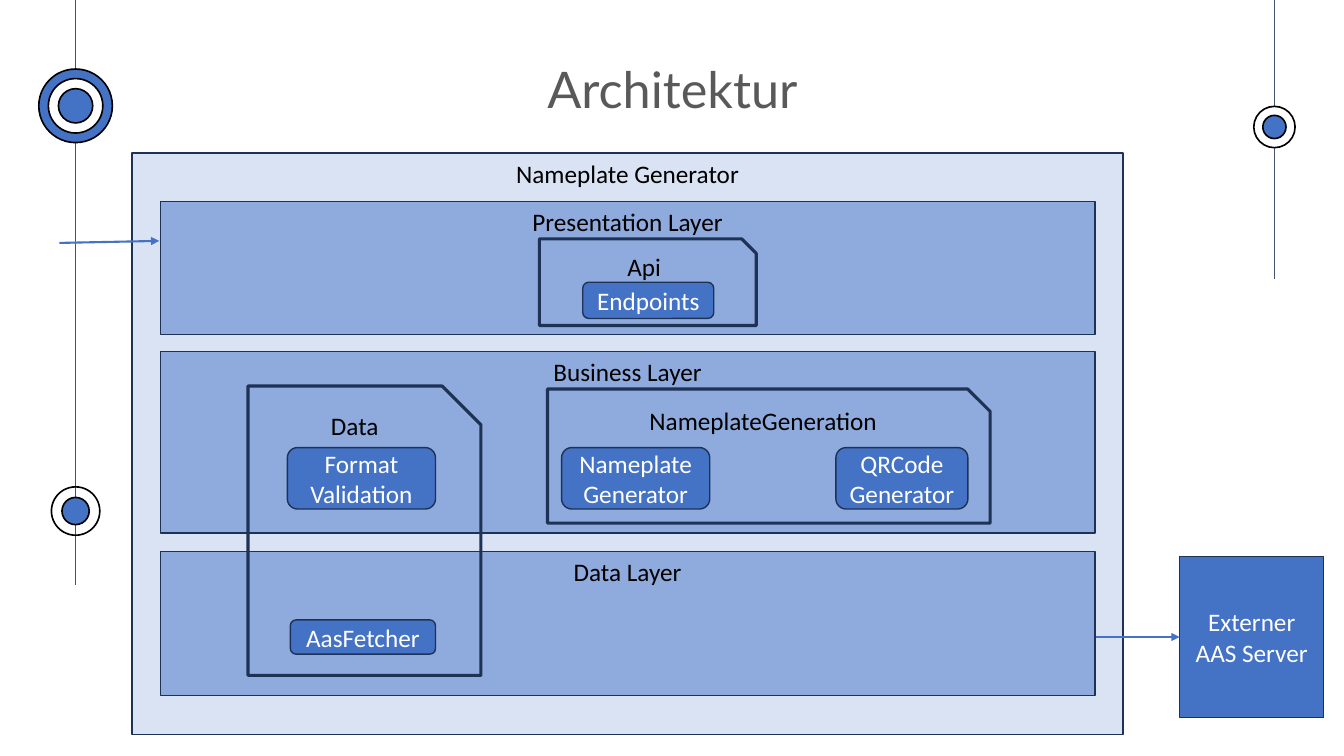
from dataclasses import dataclass
from typing import Optional

import lxml.etree
import pptx
import pptx.dml.color
import pptx.enum.shapes
import pptx.enum.text
import pptx.oxml.ns
import pptx.util
from pptx.util import Inches

SHAPE = pptx.enum.shapes.MSO_SHAPE
ANCHOR = pptx.enum.text.MSO_ANCHOR


@dataclass(frozen=True)
class Theme:
    blue: str = "4472C4"
    layer_blue: str = "8FAADC"
    pale_blue: str = "DAE3F3"
    navy: str = "1E3256"
    slate: str = "44546A"
    grey: str = "595959"
    black: str = "000000"
    white: str = "FFFFFF"
    body_font: str = "Calibri"
    title_font: str = "Lato"
    body_size: float = 18
    title_size: float = 36
    thin: float = 0.75
    border: float = 1
    ring: float = 1.15
    arrow: float = 1.5
    module: float = 2.25


THEME = Theme()


@dataclass(frozen=True)
class Kind:
    preset: int
    fill: Optional[str]
    border: float
    text_color: str
    anchor: int


SYSTEM = Kind(SHAPE.RECTANGLE, THEME.pale_blue, THEME.border, THEME.black, ANCHOR.TOP)
LAYER = Kind(SHAPE.RECTANGLE, THEME.layer_blue, THEME.border, THEME.black, ANCHOR.TOP)
MODULE = Kind(SHAPE.SNIP_1_RECTANGLE, None, THEME.module, THEME.black, ANCHOR.TOP)
COMPONENT = Kind(SHAPE.ROUNDED_RECTANGLE, THEME.blue, THEME.border, THEME.white, ANCHOR.MIDDLE)
EXTERNAL = Kind(SHAPE.RECTANGLE, THEME.blue, THEME.border, THEME.white, ANCHOR.MIDDLE)


@dataclass(frozen=True)
class Box:
    kind: Kind
    left: float
    top: float
    width: float
    height: float
    paragraphs: tuple[str, ...]  # "\n" inside a paragraph is a line break


@dataclass(frozen=True)
class Disc:
    x: float
    y: float
    diameter: float
    fill: Optional[str]


LEFT_RAIL, RIGHT_RAIL = 0.75, 12.64
RAILS = ((LEFT_RAIL, 5.8), (RIGHT_RAIL, 2.77))
DISCS = (
    Disc(LEFT_RAIL, 5.07, 0.48, None),
    Disc(LEFT_RAIL, 5.07, 0.27, THEME.blue),
    Disc(RIGHT_RAIL, 1.26, 0.41, THEME.white),
    Disc(RIGHT_RAIL, 1.26, 0.23, THEME.blue),
    Disc(LEFT_RAIL, 1.05, 0.73, THEME.blue),
    Disc(LEFT_RAIL, 1.05, 0.54, THEME.white),
    Disc(LEFT_RAIL, 1.05, 0.34, THEME.blue),
)

LAYER_LEFT, LAYER_WIDTH = 1.59, 9.27
COMPONENT_TOP, COMPONENT_HEIGHT = 4.44, 0.61
ARCHITECTURE = (
    Box(SYSTEM, 1.31, 1.52, 9.83, 5.77, ("Nameplate Generator",)),
    Box(LAYER, LAYER_LEFT, 2, LAYER_WIDTH, 1.32, ("Presentation Layer",)),
    Box(LAYER, LAYER_LEFT, 3.49, LAYER_WIDTH, 1.8, ("Business Layer",)),
    Box(LAYER, LAYER_LEFT, 5.47, LAYER_WIDTH, 1.43, ("Data Layer",)),
    Box(MODULE, 5.35, 2.37, 2.15, 0.86, ("Api",)),
    Box(COMPONENT, 5.78, 2.8, 1.3, 0.36, ("Endpoints",)),
    Box(COMPONENT, 5.57, COMPONENT_TOP, 1.47, COMPONENT_HEIGHT, ("Nameplate\nGenerator",)),
    Box(COMPONENT, 8.29, COMPONENT_TOP, 1.31, COMPONENT_HEIGHT, ("QRCode Generator",)),
    Box(COMPONENT, 2.85, COMPONENT_TOP, 1.47, COMPONENT_HEIGHT, ("Format", "Validation")),
    Box(COMPONENT, 2.88, 6.15, 1.44, 0.34, ("AasFetcher",)),
    Box(MODULE, 5.43, 3.86, 4.39, 1.33, ("NameplateGeneration",)),
    Box(MODULE, 2.46, 3.83, 2.31, 2.87, ("Data",)),
)
SERVER = Box(EXTERNAL, 11.7, 5.52, 1.43, 1.6, ("Externer AAS Server",))


def rgb(color: str) -> pptx.dml.color.RGBColor:
    return pptx.dml.color.RGBColor.from_string(color)


def set_fill(shape, color: Optional[str]) -> None:
    if color is None:
        shape.fill.background()
    else:
        shape.fill.solid()
        shape.fill.fore_color.rgb = rgb(color)


def set_line(shape, color: str, width: float) -> None:
    shape.line.color.rgb = rgb(color)
    shape.line.width = pptx.util.Pt(width)


def add_run(paragraph, text: str, font: str, size: float, color: str) -> None:
    run = paragraph.add_run()
    run.text = text
    run.font.name = font
    run.font.size = pptx.util.Pt(size)
    run.font.color.rgb = rgb(color)


def write_label(frame, box: Box) -> None:
    frame.word_wrap = True
    frame.vertical_anchor = box.kind.anchor
    for index, text in enumerate(box.paragraphs):
        paragraph = frame.add_paragraph() if index else frame.paragraphs[0]
        paragraph.alignment = pptx.enum.text.PP_ALIGN.CENTER
        for row, words in enumerate(text.split("\n")):
            if row:
                paragraph.add_line_break()
            add_run(paragraph, words, THEME.body_font, THEME.body_size, box.kind.text_color)


def draw_box(slide, box: Box):
    shape = slide.shapes.add_shape(
        box.kind.preset, Inches(box.left), Inches(box.top), Inches(box.width), Inches(box.height))
    shape.shadow.inherit = False
    set_fill(shape, box.kind.fill)
    set_line(shape, THEME.navy, box.kind.border)
    write_label(shape.text_frame, box)
    return shape


def draw_disc(slide, disc: Disc) -> None:
    radius = disc.diameter / 2
    oval = slide.shapes.add_shape(
        SHAPE.OVAL, Inches(disc.x - radius), Inches(disc.y - radius),
        Inches(disc.diameter), Inches(disc.diameter))
    oval.shadow.inherit = False
    set_fill(oval, disc.fill)
    set_line(oval, THEME.black, THEME.ring)


def draw_line(slide, start: tuple[float, float], end: tuple[float, float],
              color: str, width: float, arrow: bool = False):
    line = slide.shapes.add_connector(
        pptx.enum.shapes.MSO_CONNECTOR.STRAIGHT, *map(Inches, start + end))
    set_line(line, color, width)
    qn = pptx.oxml.ns.qn
    if arrow:
        lxml.etree.SubElement(line.line._get_or_add_ln(), qn("a:tailEnd"), type="triangle")
    lxml.etree.SubElement(line._element.spPr, qn("a:effectLst"))
    return line


def draw_title(slide, text: str) -> None:
    title = slide.shapes.add_textbox(Inches(1.06), Inches(0.49), Inches(11.22), Inches(0.84))
    frame = title.text_frame
    frame.word_wrap = True
    frame.vertical_anchor = ANCHOR.MIDDLE
    frame.margin_left = frame.margin_right = Inches(0.13)
    frame.margin_top = frame.margin_bottom = Inches(0.13)
    paragraph = frame.paragraphs[0]
    paragraph.alignment = pptx.enum.text.PP_ALIGN.CENTER
    paragraph.line_spacing = 0.9
    add_run(paragraph, text, THEME.title_font, THEME.title_size, THEME.grey)


def main() -> None:
    deck = pptx.Presentation()
    deck.slide_width, deck.slide_height = Inches(13.33), Inches(7.5)
    slide = deck.slides.add_slide(deck.slide_layouts[6])

    for x, bottom in RAILS:
        draw_line(slide, (x, 0), (x, bottom), THEME.slate, THEME.thin)
    for disc in DISCS:
        draw_disc(slide, disc)
    for box in ARCHITECTURE:
        draw_box(slide, box)
    server = draw_box(slide, SERVER)
    draw_line(slide, (0.59, 2.41), (1.58, 2.39), THEME.blue, THEME.arrow, arrow=True)
    request = draw_line(slide, (10.87, 6.32), (11.7, 6.32), THEME.blue, THEME.arrow, arrow=True)
    request.end_connect(server, 1)
    draw_title(slide, "Architektur")

    deck.save("out.pptx")


if __name__ == "__main__":
    main()
